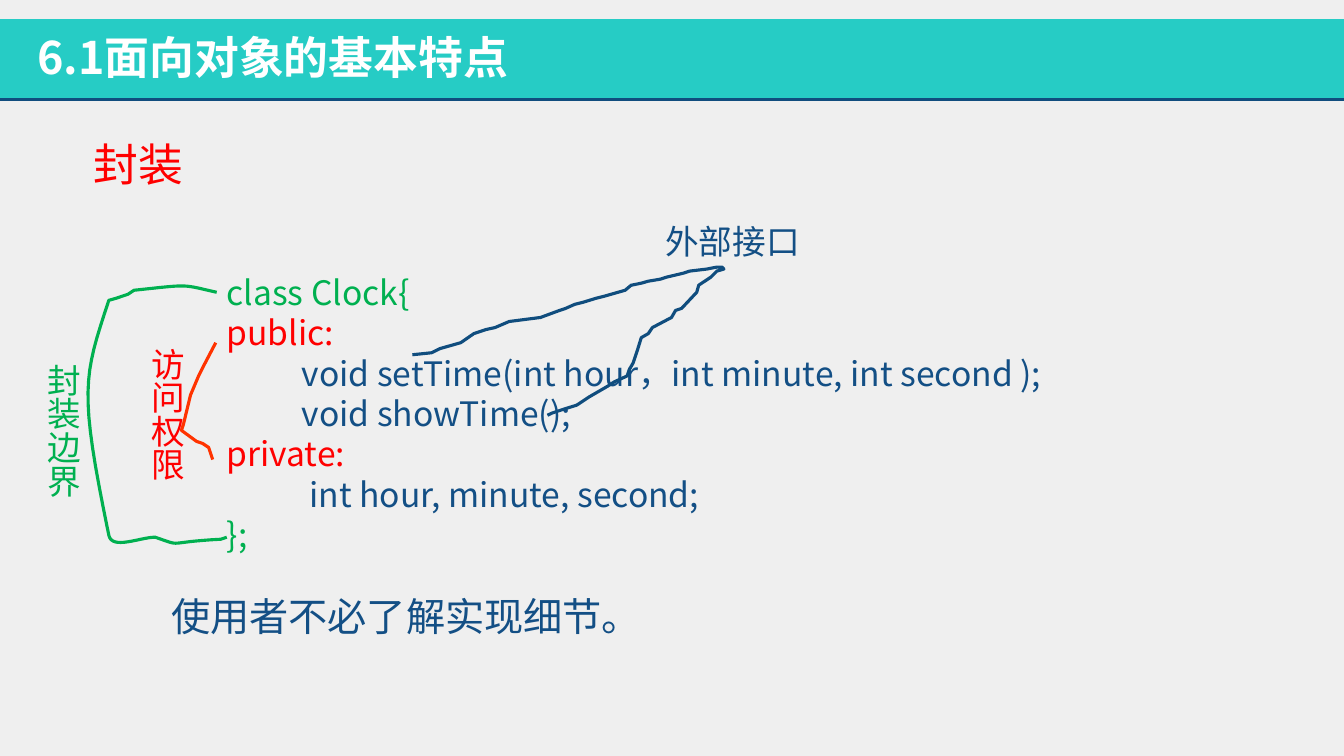
import pptx
import pptx.util
import pptx.dml.color
import pptx.enum.shapes
import pptx.enum.text
import pptx.oxml
import pptx.oxml.ns
from pptx.util import Inches

FONT = "Noto Sans CJK JP"
NAVY, BLUE, TEAL = "104D7E", "134F85", "26CCC5"
GREEN, RED, ORANGE, WHITE = "00B050", "FF0000", "FF3300", "FFFFFF"

CODE = [
    ("class Clock{", GREEN),
    ("public:", RED),
    (" " * 10 + "void setTime(int hour，int minute, int second );", BLUE),
    (" " * 10 + "void showTime();", BLUE),
    ("private:", RED),
    (" " * 11 + "int hour, minute, second;", BLUE),
    ("};", GREEN),
]

# Strokes as offsets from their top left: pairs are points, sixes are curves
ACCESS = [(.34, 0), (.21, .25), (.17, .33), (.09, .52), (.02, .81), (0, .87),
          (.15, .98), (.21, 1), (.27, 1.04), (.31, 1.16)]
BORDER = [(1.27, .06), (.91, -.02, 1.02, -.02, .45, .04), (.39, .08),
          (.27, .12), (.2, .14), (-.05, .9, -.1, 1.02, .2, 2.47),
          (.23, 2.62, .51, 2.49, .66, 2.49),
          (.95, 2.59, .74, 2.54, 1.31, 2.51), (1.37, 2.49)]
OUTER = [
    (0, .87), (.19, .85), (.27, .81), (.34, .79), (.48, .75), (.61, .66),
    (.73, .62), (.82, .6), (.96, .54), (1.27, .5), (1.46, .43), (1.52, .41),
    (1.61, .37), (1.69, .35), (1.82, .31), (1.9, .29), (2.11, .23),
    (2.17, .18), (2.27, .16), (2.34, .14), (2.46, .12), (2.52, .1),
    (2.69, .06), (2.75, .04), (2.92, .02), (3.02, 0), (3.07, 0), (3.09, .02),
    (3.02, .04), (2.96, .1), (2.84, .18), (2.82, .25), (2.67, .41),
    (2.61, .43), (2.57, .5), (2.38, .6), (2.34, .66), (2.27, .7),
    (2.23, .83), (2.21, .89), (2.19, .95), (2.15, 1.02), (2.13, 1.08),
    (2, 1.14), (1.94, 1.18), (1.75, 1.29), (1.63, 1.37), (1.5, 1.41),
    (1.44, 1.43), (1.38, 1.45), (1.34, 1.47)]


def color(code):
    return pptx.dml.color.RGBColor.from_string(code)


def add_text(slide, box, lines, size, bold=False, wrap=True, tall=False):
    shape = slide.shapes.add_textbox(*map(Inches, box))
    frame = shape.text_frame
    frame.text = "\n".join(text for text, _ in lines)
    frame.word_wrap = wrap
    frame.auto_size = pptx.enum.text.MSO_AUTO_SIZE.SHAPE_TO_FIT_TEXT
    if tall:
        shape.element.txBody.bodyPr.set("vert", "eaVert")
    for para, (_, tint) in zip(frame.paragraphs, lines):
        para.line_spacing = pptx.util.Pt(round(size * 1.2, 1))
        for run in para.runs:
            font = run.font
            font.name, font.size, font.bold = FONT, pptx.util.Pt(size), bold
            font.color.rgb = color(tint)
    # East Asian face
    for latin in list(shape.element.iter(pptx.oxml.ns.qn("a:latin"))):
        latin.addnext(pptx.oxml.parse_xml(
            f'<a:ea {pptx.oxml.ns.nsdecls("a")} typeface="{FONT}"/>'))


def trace(marks, steps=16):
    spots = []
    for mark in marks:
        if len(mark) == 2:
            spots.append(mark)
            continue
        knots = [spots[-1], mark[:2], mark[2:4], mark[4:]]
        for step in range(1, steps + 1):
            t = step / steps
            parts = ((1 - t) ** 3, 3 * t * (1 - t) ** 2,
                     3 * t * t * (1 - t), t ** 3)
            spots.append(tuple(sum(w * k[axis] for w, k in zip(parts, knots))
                               for axis in (0, 1)))
    return spots


def add_stroke(slide, left, top, marks, tint):
    spots = [(Inches(left + x), Inches(top + y)) for x, y in trace(marks)]
    pen = slide.shapes.build_freeform(*spots[0])
    pen.add_line_segments(spots[1:], close=False)
    shape = pen.convert_to_shape()
    shape.shadow.inherit = False
    shape.fill.background()
    shape.line.color.rgb = color(tint)
    shape.line.width = pptx.util.Pt(2.25)


def add_header(slide, left, top, width, height):
    # Band
    band = slide.shapes.add_shape(
        pptx.enum.shapes.MSO_SHAPE.RECTANGLE,
        *map(Inches, (left, top, width, height)))
    band.shadow.inherit = False
    band.fill.solid()
    band.fill.fore_color.rgb = color(TEAL)
    band.line.fill.background()
    # Rule under the band
    base = top + height
    rule = slide.shapes.add_connector(
        pptx.enum.shapes.MSO_CONNECTOR.STRAIGHT,
        *map(Inches, (left, base, left + width, base)))
    rule.line.color.rgb = color(NAVY)
    rule.line.width = pptx.util.Pt(2)
    rule.element.spPr.append(pptx.oxml.parse_xml(
        f'<a:effectLst {pptx.oxml.ns.nsdecls("a")}/>'))
    # Title
    add_text(slide, (left + .27, top + .06, 8.78, .64),
             [("6.1面向对象的基本特点", WHITE)], 32, bold=True)


def add_diagram(slide, left, top):
    # Code
    add_text(slide, (left + 1.88, top + .51, 10.45, 2.93), CODE, 24)
    # Access rights
    add_stroke(slide, left + 1.53, top + 1.26, ACCESS, ORANGE)
    add_text(slide, (left + 1.03, top + 1.21, .61, 1.69),
             [("访问权限", RED)], 24, wrap=False, tall=True)
    # Outer interface
    add_stroke(slide, left + 3.82, top + .51, OUTER, NAVY)
    add_text(slide, (left + 6.23, top, 2.13, .51), [("外部接口", BLUE)], 24)
    # Class border
    add_stroke(slide, left + .61, top + .7, BORDER, GREEN)
    add_text(slide, (left, top + 1.37, .61, 1.69),
             [("封装边界", GREEN)], 24, wrap=False, tall=True)


def main():
    deck = pptx.Presentation()
    deck.slide_width, deck.slide_height = Inches(13.33), Inches(7.5)
    slide = deck.slides.add_slide(deck.slide_layouts[6])
    slide.background.fill.solid()
    slide.background.fill.fore_color.rgb = color("EFEFEF")
    add_header(slide, 0, .19, 13.33, .8)
    add_diagram(slide, .27, 2.14)
    # Topic and remark
    add_text(slide, (.83, 1.31, 1.1, .64), [("封装", RED)], 32, wrap=False)
    add_text(slide, (1.6, 5.83, 6.68, .57),
             [("使用者不必了解实现细节。", BLUE)], 28)
    deck.save("out.pptx")


if __name__ == "__main__":
    main()
